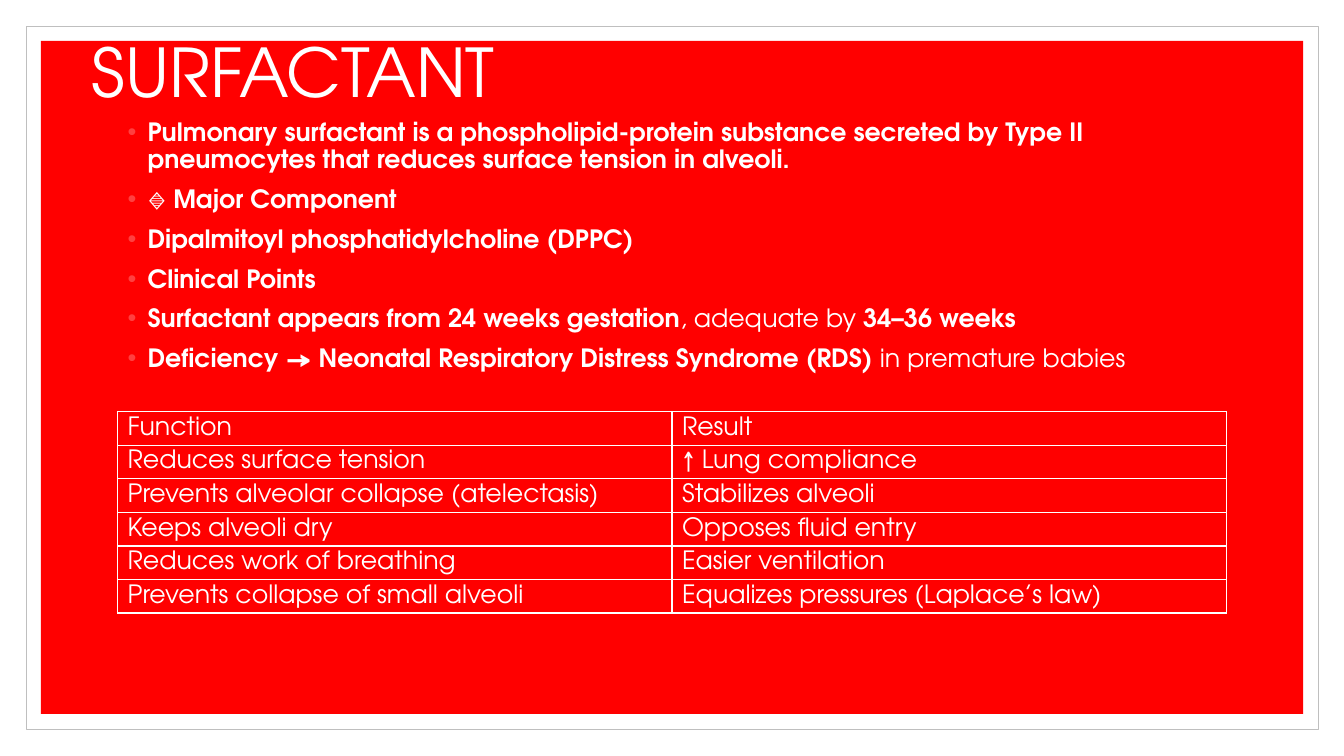
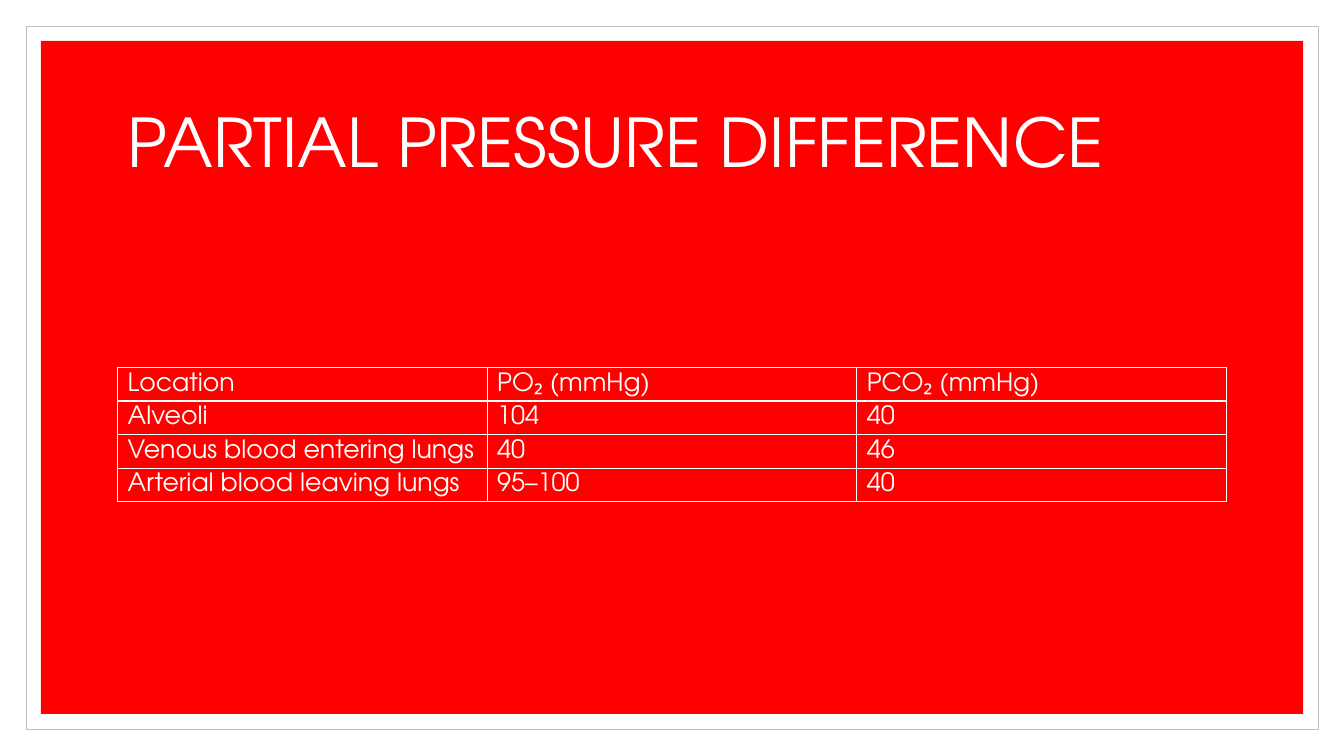
from dataclasses import dataclass
from typing import Optional

from lxml import etree
from pptx import Presentation
from pptx import util as u
from pptx.dml.color import RGBColor
from pptx.enum import shapes, text
from pptx.oxml import ns

PX = 9525
FONT = "TeX Gyre Adventor"
COLORS = {
    "white": "FFFFFF",
    "red": "FF0000",
    "frame": "BFBFBF",
    "bullet": "FF4040",
}
COLUMN_LEFT, COLUMN_WIDTH, ROW_HEIGHT = 112, 1056, 32


@dataclass(frozen=True)
class Box:
    """A rectangle in px."""

    left: int
    top: int
    width: int
    height: int

    def emu(self) -> tuple:
        """Return the four lengths in EMU."""
        return tuple(u.Emu(n * PX) for n in (self.left, self.top, self.width, self.height))


@dataclass(frozen=True)
class Panel:
    """A background rectangle of the master."""

    box: Box
    fill: str
    line: Optional[str] = None


@dataclass(frozen=True)
class Span:
    """A stretch of text with one weight."""

    text: str
    bold: bool = True


PANELS = [
    Panel(Box(25, 25, 1231, 670), "white", "frame"),
    Panel(Box(39, 39, 1202, 641), "red"),
]
SURFACTANT_POINTS = [
    [Span("Pulmonary surfactant is a phospholipid-protein substance secreted by "
          "Type II pneumocytes that reduces surface tension in alveoli.")],
    [Span("🔹 Major Component")],
    [Span("Dipalmitoyl phosphatidylcholine (DPPC)")],
    [Span("Clinical Points")],
    [Span("Surfactant appears from 24 weeks gestation"),
     Span(", adequate by ", False), Span("34–36 weeks")],
    [Span("Deficiency → Neonatal Respiratory Distress Syndrome (RDS)"),
     Span(" in premature babies", False)],
]
SURFACTANT_FUNCTIONS = [
    ["Function", "Result"],
    ["Reduces surface tension", "↑ Lung compliance"],
    ["Prevents alveolar collapse (atelectasis)", "Stabilizes alveoli"],
    ["Keeps alveoli dry", "Opposes fluid entry"],
    ["Reduces work of breathing", "Easier ventilation"],
    ["Prevents collapse of small alveoli", "Equalizes pressures (Laplace’s law)"],
]
PARTIAL_PRESSURES = [
    ["Location", "PO₂ (mmHg)", "PCO₂ (mmHg)"],
    ["Alveoli", "104", "40"],
    ["Venous blood entering lungs", "40", "46"],
    ["Arterial blood leaving lungs", "95–100", "40"],
]


def rgb(name: str) -> RGBColor:
    """Look up a named colour."""
    return RGBColor.from_string(COLORS[name])


def add_color(parent, tag: str, name: str) -> None:
    """Append an XML element that holds a named colour."""
    holder = etree.SubElement(parent, ns.qn(tag))
    etree.SubElement(holder, ns.qn("a:srgbClr"), val=COLORS[name])


def write(paragraph, words: str, *, size: int = 18, bold: bool = False,
          color: str = "white") -> None:
    """Add a formatted run to a paragraph."""
    run = paragraph.add_run()
    run.text = words
    run.font.name = FONT
    run.font.size = u.Pt(size)
    run.font.bold = bold
    run.font.color.rgb = rgb(color)


def place(shape, box: Box, anchor):
    """Position a placeholder and return its text frame."""
    shape.left, shape.top, shape.width, shape.height = box.emu()
    frame = shape.text_frame
    frame.word_wrap = True
    frame.auto_size = text.MSO_AUTO_SIZE.NONE
    frame.vertical_anchor = anchor
    return frame


def set_title(slide, words: str, left: int, top: int) -> None:
    """Fill the title placeholder."""
    box = Box(left, top, COLUMN_WIDTH, 144)
    frame = place(slide.shapes.title, box, text.MSO_ANCHOR.MIDDLE)
    paragraph = frame.paragraphs[0]
    paragraph.alignment = text.PP_ALIGN.LEFT
    paragraph.line_spacing = 0.9
    write(paragraph, words, size=48)


def set_bullets(slide, points: list[list[Span]], box: Box) -> None:
    """Fill the body placeholder with a bulleted list."""
    frame = place(slide.placeholders[1], box, text.MSO_ANCHOR.TOP)
    for index, spans in enumerate(points):
        paragraph = frame.add_paragraph() if index else frame.paragraphs[0]
        properties = paragraph._p.get_or_add_pPr()
        properties.set("marL", str(19 * PX))
        properties.set("indent", str(-19 * PX))
        add_color(properties, "a:buClr", "bullet")
        etree.SubElement(properties, ns.qn("a:buChar"), char="•")
        paragraph.line_spacing = 0.9
        paragraph.space_before = u.Pt(9 if index else 0)
        for span in spans:
            write(paragraph, span.text, bold=span.bold)


def format_cell(cell, words: str) -> None:
    """Write a transparent cell with thin white borders."""
    cell.margin_top = cell.margin_bottom = 0
    cell.vertical_anchor = text.MSO_ANCHOR.MIDDLE
    properties = cell._tc.get_or_add_tcPr()
    for side in ("a:lnL", "a:lnR", "a:lnT", "a:lnB"):
        border = etree.SubElement(properties, ns.qn(side), w=str(u.Pt(1)))
        add_color(border, "a:solidFill", "white")
    cell.fill.background()
    write(cell.text_frame.paragraphs[0], words)


def add_grid(slide, rows: list[list[str]], top: int) -> None:
    """Add a table with equal columns."""
    box = Box(COLUMN_LEFT, top, COLUMN_WIDTH, ROW_HEIGHT * len(rows))
    table = slide.shapes.add_table(len(rows), len(rows[0]), *box.emu()).table
    table.first_row = table.horz_banding = False
    for row, values in zip(table.rows, rows):
        for cell, words in zip(row.cells, values):
            format_cell(cell, words)


def add_master_panels(presentation, slide) -> None:
    """Draw the background panels and move them to the master."""
    tree = presentation.slide_master.element.cSld.spTree
    for position, panel in enumerate(PANELS, start=2):
        shape = slide.shapes.add_shape(shapes.MSO_SHAPE.RECTANGLE, *panel.box.emu())
        shape.shadow.inherit = False
        shape.fill.solid()
        shape.fill.fore_color.rgb = rgb(panel.fill)
        if panel.line:
            shape.line.color.rgb = rgb(panel.line)
            shape.line.width = u.Pt(0.5)
        else:
            shape.line.fill.background()
        tree.insert(position, shape.element)


def main() -> None:
    """Build and save the presentation."""
    presentation = Presentation()
    presentation.slide_width = u.Emu(1280 * PX)
    presentation.slide_height = u.Emu(720 * PX)
    layouts = presentation.slide_layouts

    surfactant = presentation.slides.add_slide(layouts.get_by_name("Title and Content"))
    add_master_panels(presentation, surfactant)
    set_title(surfactant, "SURFACTANT", 78, 0)
    set_bullets(surfactant, SURFACTANT_POINTS, Box(COLUMN_LEFT, 109, COLUMN_WIDTH, 413))
    add_grid(surfactant, SURFACTANT_FUNCTIONS, 392)

    pressure = presentation.slides.add_slide(layouts.get_by_name("Title Only"))
    set_title(pressure, "PARTIAL PRESSURE DIFFERENCE", COLUMN_LEFT, 67)
    add_grid(pressure, PARTIAL_PRESSURES, 350)

    presentation.save("out.pptx")


if __name__ == "__main__":
    main()
